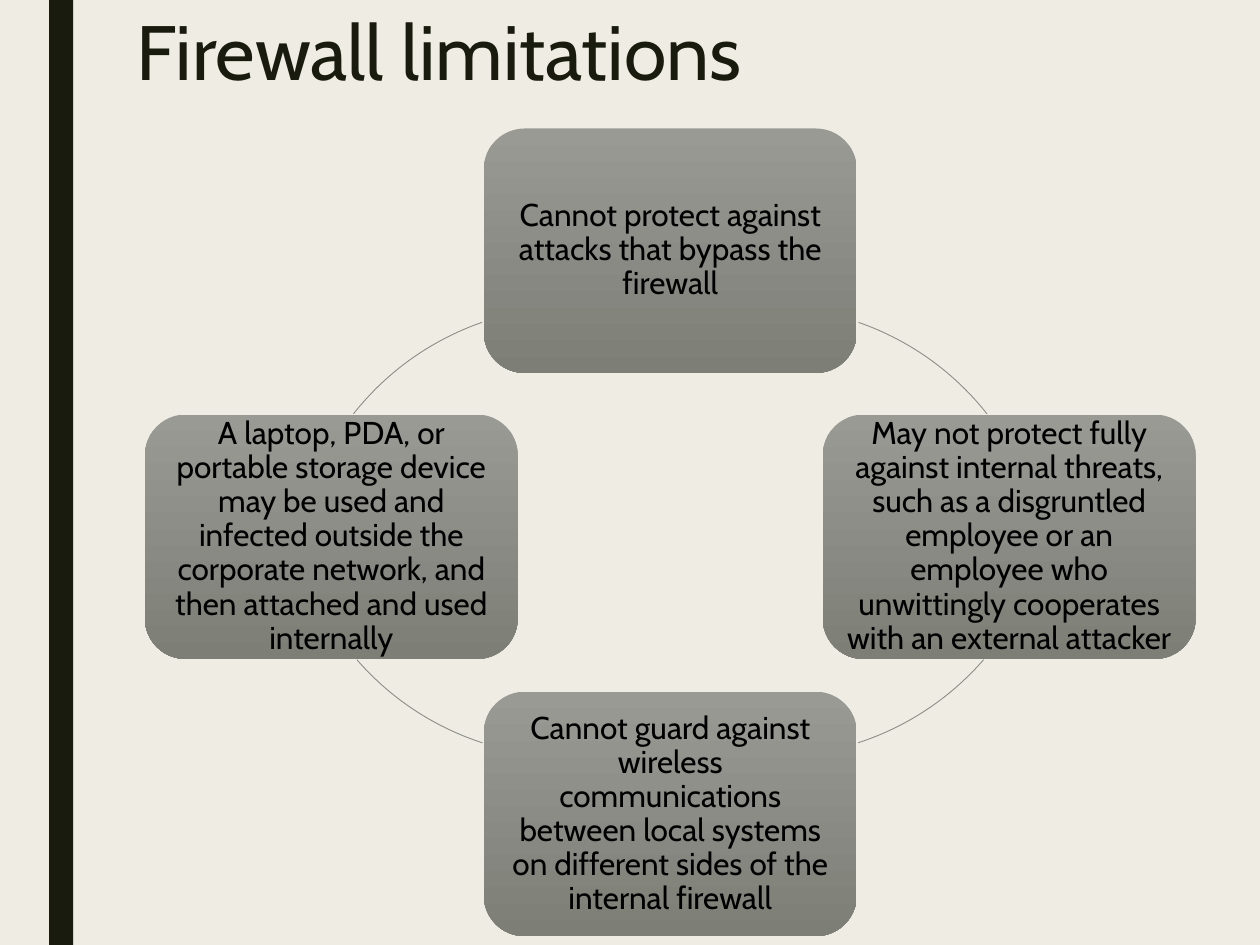
"""Build the slide on firewall limitations: four cards around a ring."""
import pptx
import pptx.dml.color
import pptx.enum.shapes
import pptx.enum.text
import pptx.util

THEME = {
    "font": "Cabin", "title_size": 44, "card_size": 18,
    "paper": "EFEDE3", "ink": "191B0E", "card_text": "000000",
    "card_top": "999A94", "card_bottom": "7D7E76", "ring": "8C8D86",
}
WIDTH, HEIGHT = 10, 7.5
AXIS, SPREAD = 5.32, 2.69
CARD_WIDTH, CARD_HEIGHT = 2.96, 1.94
RING = 4.47


def colour(role):
    return pptx.dml.color.RGBColor.from_string(THEME[role])


def write(frame, words, size, role, spacing):
    frame.word_wrap = True
    paragraph = frame.paragraphs[0]
    paragraph.line_spacing = spacing
    run = paragraph.add_run()
    run.text = words
    run.font.name = THEME["font"]
    run.font.size = pptx.util.Pt(THEME[size])
    run.font.color.rgb = colour(role)
    return paragraph


inch = pptx.util.Inches
preset = pptx.enum.shapes.MSO_SHAPE
align = pptx.enum.text.PP_ALIGN
anchor = pptx.enum.text.MSO_ANCHOR

deck = pptx.Presentation()
deck.slide_width, deck.slide_height = inch(WIDTH), inch(HEIGHT)
slide = deck.slides.add_slide(deck.slide_layouts.get_by_name("Title Only"))
slide.background.fill.solid()
slide.background.fill.fore_color.rgb = colour("paper")

band = slide.shapes.add_shape(preset.RECTANGLE, inch(0.39), 0, inch(0.19), inch(HEIGHT))
band.shadow.inherit = False
band.fill.solid()
band.fill.fore_color.rgb = colour("ink")
band.line.fill.background()

heading = slide.shapes.title
heading.left, heading.top = inch(0.98), inch(0.07)
heading.width, heading.height = inch(WIDTH - 0.98), inch(1.4)
heading.text_frame.vertical_anchor = anchor.TOP
write(heading.text_frame, "Firewall limitations", "title_size", "ink", 0.89).alignment = align.LEFT

limitations = [
    (0, 1.99, "Cannot protect against attacks that bypass the firewall"),
    (1, 4.26, "May not protect fully against internal threats, such as a disgruntled "
              "employee or an employee who unwittingly cooperates with an external attacker"),
    (0, 6.46, "Cannot guard against wireless communications between local systems "
              "on different sides of the internal firewall"),
    (-1, 4.26, "A laptop, PDA, or portable storage device may be used and infected "
               "outside the corporate network, and then attached and used internally"),
]
for column, middle, words in limitations:
    card = slide.shapes.add_shape(
        preset.ROUNDED_RECTANGLE,
        inch(AXIS + column * SPREAD - CARD_WIDTH / 2), inch(middle - CARD_HEIGHT / 2),
        inch(CARD_WIDTH), inch(CARD_HEIGHT))
    card.shadow.inherit = False
    card.fill.gradient()
    card.fill.gradient_angle = 270
    for stop, role in zip(card.fill.gradient_stops, ("card_top", "card_bottom")):
        stop.color.rgb = colour(role)
    card.line.fill.background()
    frame = card.text_frame
    frame.margin_left = frame.margin_right = inch(0.07)
    frame.margin_top = frame.margin_bottom = inch(0.07)
    frame.vertical_anchor = anchor.MIDDLE
    write(frame, words, "card_size", "card_text", 0.9).alignment = align.CENTER

ring_links = [
    (0.76, 4.67, 289.2, 321.7),
    (0.8, 3.77, 41, 72),
    (-0.8, 3.77, 108, 139),
    (-0.76, 4.67, 218.3, 250.8),
]
for offset, middle, start, end in ring_links:
    link = slide.shapes.add_shape(
        preset.ARC, inch(AXIS + offset - RING / 2), inch(middle - RING / 2),
        inch(RING), inch(RING))
    link.shadow.inherit = False
    link.fill.background()
    link.line.color.rgb = colour("ring")
    link.line.width = pptx.util.Pt(0.5)
    for index, degrees in enumerate((start, end)):
        link.adjustments[index] = degrees * 0.6

deck.save("out.pptx")
